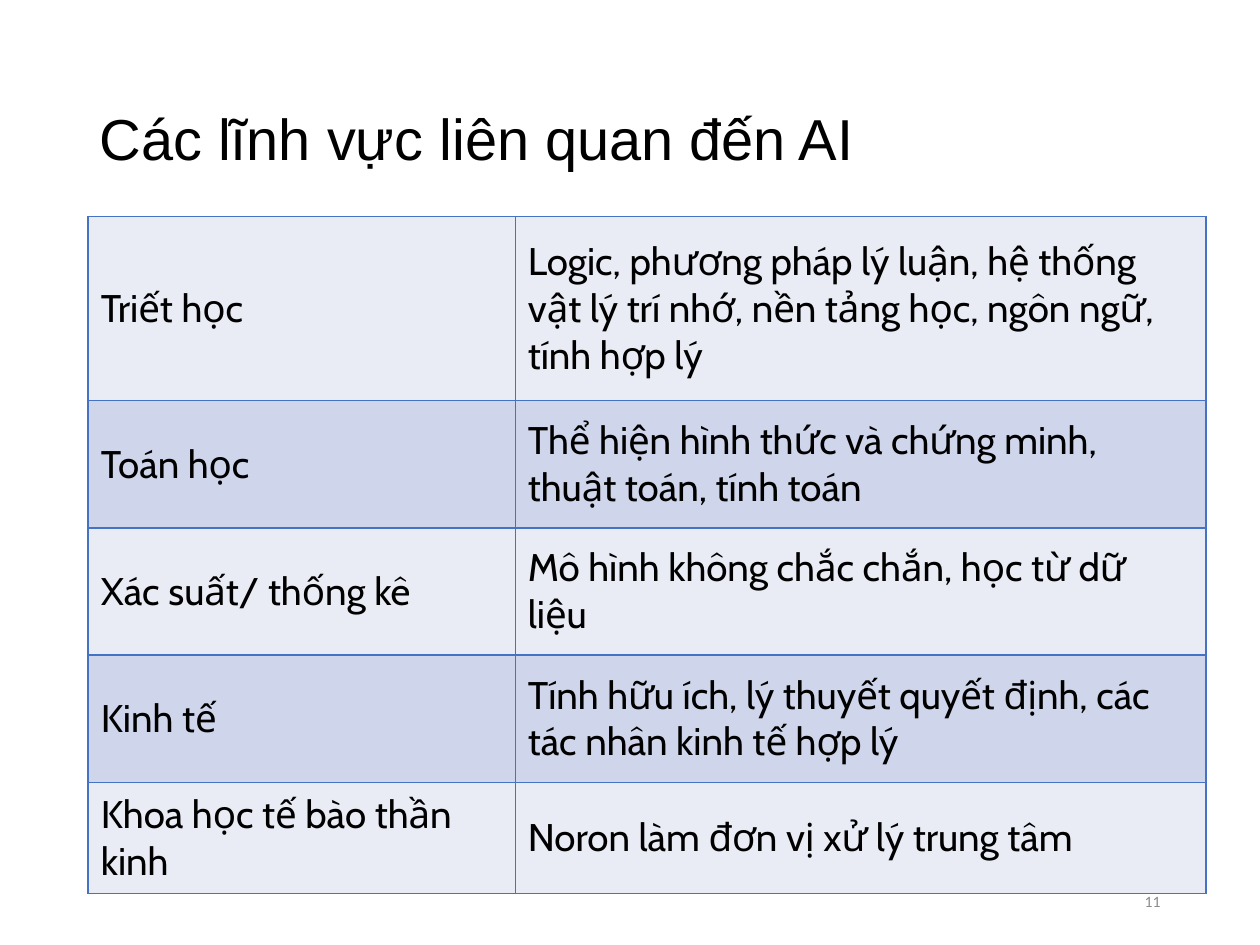
from dataclasses import dataclass

from lxml import etree
from pptx import Presentation
from pptx.dml.color import RGBColor
from pptx.enum.text import MSO_ANCHOR, PP_ALIGN
from pptx.oxml.ns import qn
from pptx.util import Inches, Pt

MIDDLE = MSO_ANCHOR.MIDDLE
LEFT, RIGHT = PP_ALIGN.LEFT, PP_ALIGN.RIGHT


@dataclass(frozen=True)
class Theme:
    ink: str = "000000"
    muted: str = "8C8C8C"
    border: str = "4472C4"
    bands: tuple = ("E9EBF5", "CFD5EA")
    title_size: int = 33
    table_size: int = 22
    number_size: int = 9
    title_font: str = "Arial"
    table_font: str = "Cabin"
    number_font: str = "Calibri"


theme = Theme()


def style_text(frame, text, font_name, size, color, align=LEFT):
    frame.word_wrap = True
    frame.vertical_anchor = MIDDLE
    para = frame.paragraphs[0]
    para.text = text
    para.alignment = align
    para.font.name = font_name
    para.font.size = Pt(size)
    para.font.color.rgb = RGBColor.from_string(color)
    return para


def add_borders(cell, color):
    properties = cell._tc.get_or_add_tcPr()
    for position, side in enumerate(("a:lnL", "a:lnR", "a:lnT", "a:lnB")):
        line = etree.Element(qn(side), w=str(Pt(1)))
        fill = etree.SubElement(line, qn("a:solidFill"))
        etree.SubElement(fill, qn("a:srgbClr"), val=color)
        properties.insert(position, line)


deck = Presentation()
deck.slide_width = Inches(10)
deck.slide_height = Inches(7.5)
page = deck.slides.add_slide(deck.slide_layouts[6])

title_box = page.shapes.add_textbox(Inches(0.69), Inches(0.4), Inches(8.62), Inches(1.45))
title = style_text(title_box.text_frame, "Các lĩnh vực liên quan đến AI",
                   theme.title_font, theme.title_size, theme.ink)
title.line_spacing = 0.9

fields = [
    ("Triết học", "Logic, phương pháp lý luận, hệ thống vật lý trí nhớ, nền tảng học, ngôn ngữ, tính hợp lý"),
    ("Toán học", "Thể hiện hình thức và chứng minh, thuật toán, tính toán"),
    ("Xác suất/ thống kê", "Mô hình không chắc chắn, học từ dữ liệu"),
    ("Kinh tế", "Tính hữu ích, lý thuyết quyết định, các tác nhân kinh tế hợp lý"),
    ("Khoa học tế bào thần kinh", "Noron làm đơn vị xử lý trung tâm"),
]
column_widths = (3.39, 5.48)
row_heights = (1.46, 1.01, 1.01, 1.01, 0.88)

table = page.shapes.add_table(len(fields), len(column_widths), Inches(0.7), Inches(1.72),
                              Inches(sum(column_widths)), Inches(sum(row_heights))).table
table.first_row = False
table.horz_banding = False
for column, width in zip(table.columns, column_widths):
    column.width = Inches(width)

for index, (row, height, field) in enumerate(zip(table.rows, row_heights, fields)):
    row.height = Inches(height)
    for cell, text in zip(row.cells, field):
        cell.fill.solid()
        cell.fill.fore_color.rgb = RGBColor.from_string(theme.bands[index % 2])
        style_text(cell.text_frame, text, theme.table_font, theme.table_size, theme.ink)
        cell.vertical_anchor = MIDDLE
        add_borders(cell, theme.border)

number_box = page.shapes.add_textbox(Inches(7.06), Inches(6.95), Inches(2.25), Inches(0.4))
style_text(number_box.text_frame, "11", theme.number_font, theme.number_size, theme.muted, RIGHT)

deck.save("out.pptx")
